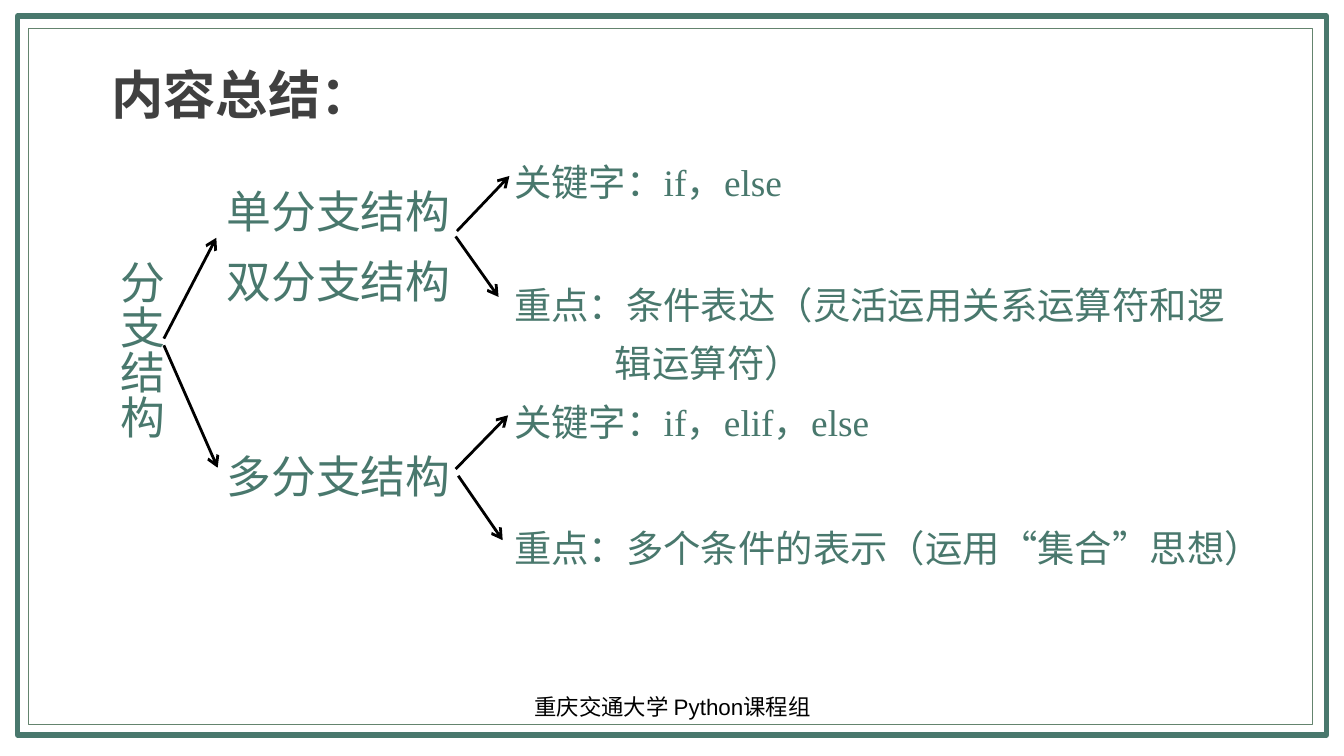
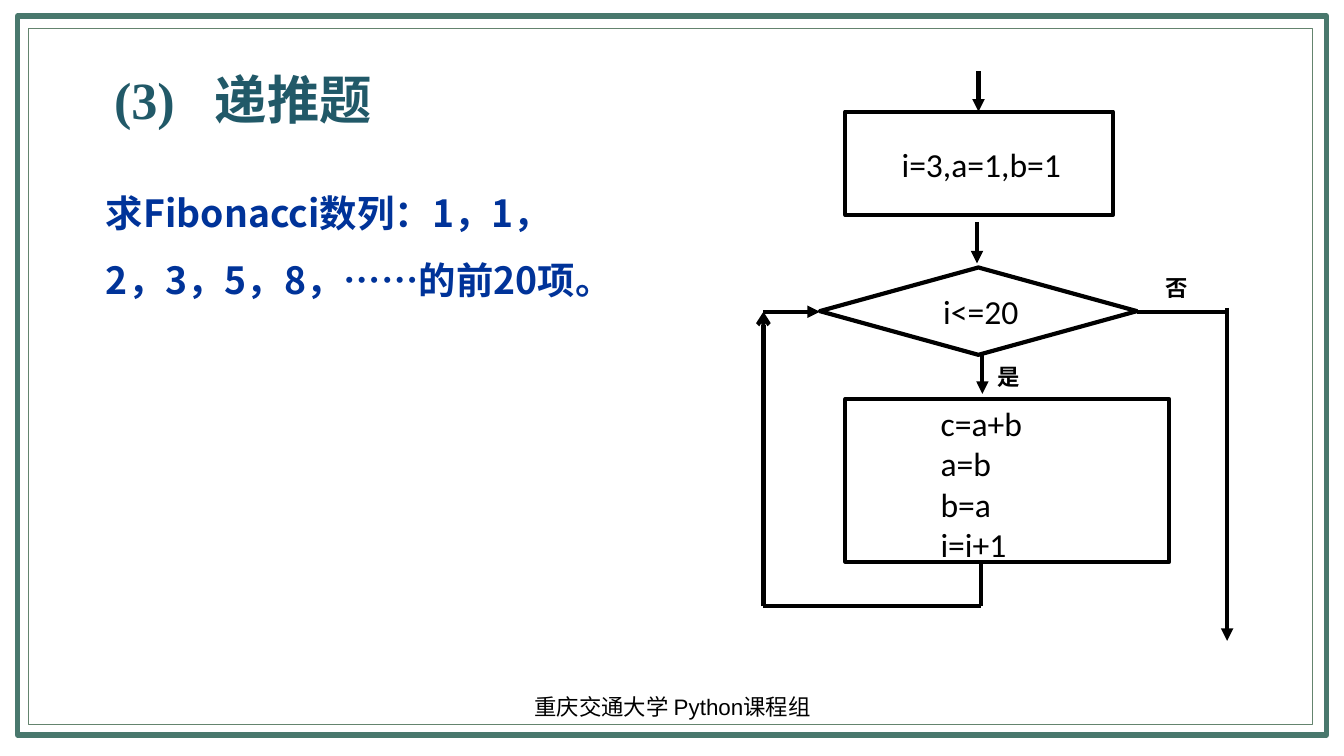
import pptx
import pptx.dml.color
import pptx.enum.shapes
import pptx.enum.text
import pptx.oxml
import pptx.oxml.ns
import pptx.util

Pt = pptx.util.Pt
SHAPE = pptx.enum.shapes.MSO_SHAPE
ANCHOR = pptx.enum.text.MSO_ANCHOR
ALIGN = pptx.enum.text.PP_ALIGN
AUTO = pptx.enum.text.MSO_AUTO_SIZE

GREEN, PALE_GREEN, BLACK = "49786D", "64846E", "000000"
DARK_GREY, TEAL, BLUE = "404040", "215968", "003399"
SERIF, CJK, SANS, CODE = "Times New Roman", "Noto Sans CJK SC", "Arial", "Calibri"
FOOTER = "重庆交通大学 Python课程组"


def rgb(value):
    return pptx.dml.color.RGBColor.from_string(value)


def add_xml(parent, tag, **attrs):
    element = pptx.oxml.parse_xml(f"<a:{tag} {pptx.oxml.ns.nsdecls('a')}/>")
    for name, value in attrs.items():
        element.set(name, str(value))
    parent.append(element)
    return element


class Deck:
    """Holds the shared style and the slide being drawn."""

    def __init__(self):
        self.prs = pptx.Presentation()
        self.prs.slide_width, self.prs.slide_height = Pt(720), Pt(405)
        self.s = None

    def new_slide(self):
        self.s = self.prs.slides.add_slide(self.prs.slide_layouts[6])
        self.box(9.4, 8.6, 701.2, 385.2, GREEN, 3)
        self.box(15.1, 15.1, 688.3, 373, PALE_GREEN, 0.5)
        self.text(246.2, 367.9, 228.2, 21.6, FOOTER, 12, SANS, centred=True)

    def box(self, x, y, w, h, color=BLACK, weight=2.25, kind=SHAPE.RECTANGLE):
        sp = self.s.shapes.add_shape(kind, Pt(x), Pt(y), Pt(w), Pt(h))
        sp.shadow.inherit = False
        sp.fill.background()
        sp.line.color.rgb = rgb(color)
        sp.line.width = Pt(weight)

    def line(self, x1, y1, x2, y2, weight=2.25, head=None):
        """Draw a line; head is the arrowhead type at its end point."""
        cx = self.s.shapes.add_connector(
            pptx.enum.shapes.MSO_CONNECTOR.STRAIGHT, Pt(x1), Pt(y1), Pt(x2), Pt(y2))
        cx.line.color.rgb = rgb(BLACK)
        cx.line.width = Pt(weight)
        if head:
            add_xml(cx.line._get_or_add_ln(), "tailEnd", type=head)
        add_xml(cx._element.spPr, "effectLst")

    def text(self, x, y, w, h, text, size, font, color=BLACK, bold=False, spacing=None,
             inset=(7.2, 3.6), centred=False, vertical=False, tab=None, hang=0):
        """Add a text box; hang indents every paragraph after the first."""
        tf = self.s.shapes.add_textbox(Pt(x), Pt(y), Pt(w), Pt(h)).text_frame
        tf.word_wrap = not vertical
        tf.auto_size = AUTO.NONE if centred else AUTO.SHAPE_TO_FIT_TEXT
        tf.margin_left = tf.margin_right = Pt(inset[0])
        tf.margin_top = tf.margin_bottom = Pt(inset[1])
        if centred:
            tf.vertical_anchor = ANCHOR.MIDDLE
        if vertical:
            tf._txBody.bodyPr.set("vert", "eaVert")
        tf.text = text
        for i, p in enumerate(tf.paragraphs):
            p.alignment = ALIGN.CENTER if centred else ALIGN.LEFT
            if spacing:
                p.line_spacing = spacing
            pPr = p._p.get_or_add_pPr()
            if i and hang:
                pPr.set("marL", str(Pt(hang)))
            if tab:
                add_xml(add_xml(pPr, "tabLst"), "tab", pos=Pt(tab), algn="l")
            p.font.size, p.font.name, p.font.bold = Pt(size), font, bold
            p.font.color.rgb = rgb(color)

    def node(self, x, y, w, h, text, size):
        self.text(x, y, w, h, text, size, SERIF, GREEN, spacing=1.3, inset=(5.4, 2.7))


def summary_slide(deck):
    deck.new_slide()
    deck.text(55.4, 20.9, 143.3, 49, "内容总结：", 28, CJK, DARK_GREY, True, 1.3, (4.3, 2.2))
    deck.text(49.7, 132.5, 52.6, 104.4, "分支结构", 24, SERIF, GREEN, spacing=1.3, vertical=True)
    deck.node(115.9, 87.1, 138.2, 81.4, "单分支结构\n双分支结构", 24)
    deck.node(115.9, 229, 232.6, 43.2, "多分支结构", 24)
    deck.node(270, 75.6, 207.4, 36.7, "关键字：if，else", 20)
    deck.text(270, 141.1, 406.1, 64.8, "重点：条件表达（灵活运用关系运算符和逻\n辑运算符）", 20,
              SERIF, GREEN, spacing=1.3, inset=(5.4, 2.7), hang=54)
    deck.node(270, 203.8, 247.7, 36.7, "关键字：if，elif，else", 20)
    deck.node(270, 271.4, 424.8, 36.7, "重点：多个条件的表示（运用“集合”思想）", 20)
    for ends in [(87.8, 181.4, 115.9, 127.4), (87.8, 185, 116.6, 250.6),
                 (244.8, 123.8, 272.9, 94.3), (244.1, 126.7, 267.1, 159.1),
                 (244.1, 251.3, 272.2, 222.5), (245.5, 254.9, 269.3, 289.4)]:
        deck.line(*ends, weight=1.5, head="arrow")


def fibonacci_slide(deck):
    deck.new_slide()
    deck.text(54, 32.4, 244.1, 41, "(3)\t递推题", 28, SERIF, TEAL, True, tab=54)
    deck.text(49.7, 86.4, 280.1, 79.9, "求Fibonacci数列：1，1，2，3，5，8，……的前20项。",
              20, CJK, BLUE, True, 1.5)

    deck.box(452.9, 59.8, 143.3, 55.4)
    deck.box(439.2, 143.3, 169.9, 46.8, kind=SHAPE.DIAMOND)
    deck.box(452.9, 213.8, 173.5, 87.1)

    loop_x, loop_y, test_y, exit_x = 409, 324.7, 167, 657.4
    for ends in [(524.2, 38.2, 524.2, 59.8), (523.4, 118.8, 523.4, 141.1),
                 (526.3, 188.6, 526.3, 211), (loop_x, test_y, 439.2, test_y),
                 (exit_x, 164.9, exit_x, 343.4)]:
        deck.line(*ends, head="triangle")
    deck.line(525.6, 301.7, 525.6, loop_y)
    deck.line(loop_x, loop_y, 525.6, loop_y)
    deck.line(loop_x, loop_y, loop_x, test_y, head="arrow")
    deck.line(609.1, test_y, exit_x, test_y)

    for x, y, label in [(523.4, 192.2, "是"), (613.4, 144.7, "否")]:
        deck.text(x, y, 33.8, 18.7, label, 12, SERIF, bold=True, centred=True)
    for x, y, w, h, code in [(475.9, 73.4, 102.2, 28.8, "i=3,a=1,b=1"),
                             (498.2, 152.6, 105.8, 28.8, "i<=20"),
                             (496.8, 212.4, 100.1, 94.3, "c=a+b\na=b\nb=a\ni=i+1")]:
        deck.text(x, y, w, h, code, 18, CODE)


def main():
    deck = Deck()
    summary_slide(deck)
    fibonacci_slide(deck)
    deck.prs.save("out.pptx")


if __name__ == "__main__":
    main()
